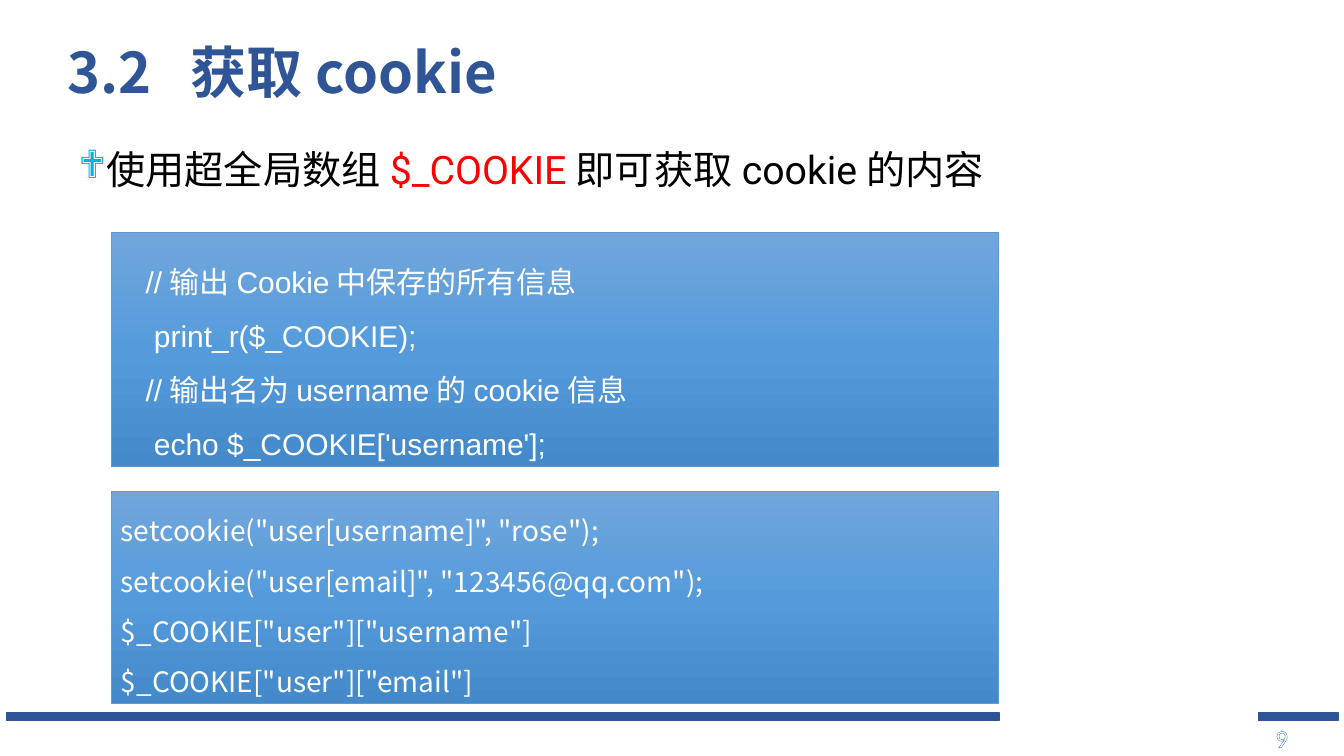
from copy import deepcopy
from dataclasses import dataclass

from pptx import Presentation, util as u
from pptx.dml.color import RGBColor
from pptx.enum import dml, shapes, text
from pptx.oxml import parse_xml
from pptx.oxml.ns import nsdecls, qn

PX = 9144  # EMU, 100 px to the inch
COLORS = {
    "navy": "2F5597", "black": "000000", "red": "FF0000", "white": "FFFFFF",
    "bullet": "00B0F0", "border": "5B9BD5", "number": "8FAADC", "outline": "4472C4",
}
GRADIENT = [(0, "71A6DB"), (0.5, "559BDB"), (1, "448ACA")]
CJK_FONT = "Noto Sans CJK SC"


@dataclass
class Frame:
    left: int
    top: int
    width: int
    height: int

    def emu(self) -> list[int]:
        return [n * PX for n in (self.left, self.top, self.width, self.height)]


@dataclass
class CodeBlock:
    frame: Frame
    font: str
    size: float
    lines: list[str]


CODE_BLOCKS = [
    CodeBlock(Frame(110, 231, 880, 232), "Arial", 21.4, [
        "   //输出Cookie中保存的所有信息",
        "    print_r($_COOKIE);",
        "   //输出名为username的cookie信息",
        "    echo $_COOKIE['username'];",
    ]),
    CodeBlock(Frame(110, 488, 880, 210), CJK_FONT, 20, [
        'setcookie("user[username]", "rose");',
        'setcookie("user[email]", "123456@qq.com");',
        '$_COOKIE["user"]["username"]',
        '$_COOKIE["user"]["email"]',
    ]),
]
FOOTER_BARS = [Frame(7, 707, 984, 8), Frame(1248, 707, 79, 8)]


def rgb(name: str) -> RGBColor:
    return RGBColor.from_string(COLORS[name])


def style(para, font: str, size: float, color: str, spacing: float, bold: bool = False) -> None:
    para.alignment = text.PP_ALIGN.LEFT
    para.line_spacing = spacing
    para.font.name = font
    para.font.size = u.Pt(size)
    para.font.bold = bold
    para.font.color.rgb = rgb(color)
    east_asian = parse_xml(f'<a:ea {nsdecls("a")} typeface="{CJK_FONT}"/>')
    para._p.pPr.find(qn("a:defRPr")).append(east_asian)


def place(shape, frame: Frame) -> None:
    shape.left, shape.top, shape.width, shape.height = frame.emu()


def add_box(page, frame: Frame, border: str, weight: float):
    box = page.shapes.add_shape(shapes.MSO_SHAPE.RECTANGLE, *frame.emu())
    box.shadow.inherit = False
    box.line.color.rgb = rgb(border)
    box.line.width = u.Pt(weight)
    return box


def add_footer_bar(page, frame: Frame) -> None:
    bar = add_box(page, frame, "navy", 1)
    bar.fill.solid()
    bar.fill.fore_color.rgb = rgb("navy")


def add_page_number(page) -> None:
    box = page.shapes.add_textbox(*Frame(1255, 712, 72, 40).emu())
    box.text_frame.word_wrap = True
    span = box.text_frame.paragraphs[0].add_run()
    span.text = "9"
    span.font.name = "Calibri"
    span.font.size = u.Pt(18)
    fill = span.font.fill
    fill.patterned()
    fill.pattern = dml.MSO_PATTERN.DARK_DOWNWARD_DIAGONAL
    fill.fore_color.rgb = rgb("number")
    fill.back_color.rgb = rgb("white")
    span._r.rPr.insert(0, parse_xml(
        f'<a:ln {nsdecls("a")} w="12700"><a:solidFill>'
        f'<a:srgbClr val="{COLORS["outline"]}"/></a:solidFill></a:ln>'))


def fill_title(page) -> None:
    title = page.shapes.title
    place(title, Frame(57, 2, 1150, 145))
    title.text_frame.text = "3.2  获取cookie"
    title.text_frame.vertical_anchor = text.MSO_ANCHOR.MIDDLE
    style(title.text_frame.paragraphs[0], CJK_FONT, 40, "navy", 0.9, bold=True)


def fill_body(page) -> None:
    body = page.placeholders[1]
    place(body, Frame(68, 144, 1227, 451))
    body.text_frame.auto_size = text.MSO_AUTO_SIZE.NONE
    para = body.text_frame.paragraphs[0]
    for words in ("使用超全局数组", "$_COOKIE", "即可获取cookie的内容"):
        para.add_run().text = words
    para.space_before = u.Pt(0)
    properties = para._p.get_or_add_pPr()
    properties.set("marL", str(25 * PX))
    properties.set("indent", str(-25 * PX))
    for xml in (f'<a:buClr {nsdecls("a")}><a:srgbClr val="{COLORS["bullet"]}"/></a:buClr>',
                f'<a:buFont {nsdecls("a")} typeface="Wingdings"/>',
                f'<a:buChar {nsdecls("a")} char="❖"/>'):
        properties.append(parse_xml(xml))
    style(para, "Roboto", 28, "black", 0.9)
    para.runs[1].font.color.rgb = rgb("red")


def add_code_block(page, block: CodeBlock) -> None:
    box = add_box(page, block.frame, "border", 0.5)
    box.fill.gradient()
    box.fill.gradient_angle = 270
    stops = box._element.spPr.find(qn("a:gradFill")).find(qn("a:gsLst"))
    stops.append(deepcopy(stops[0]))
    for stop, (position, color) in zip(box.fill.gradient_stops, GRADIENT):
        stop.position = position
        stop.color.rgb = RGBColor.from_string(color)
    frame = box.text_frame
    frame.word_wrap = True
    frame.vertical_anchor = text.MSO_ANCHOR.BOTTOM
    frame.text = "\n".join(block.lines)
    for para in frame.paragraphs:
        style(para, block.font, block.size, "white", 1.5)


def main() -> None:
    deck = Presentation()
    deck.slide_width, deck.slide_height = 1333 * PX, 750 * PX
    page = deck.slides.add_slide(deck.slide_layouts[1])
    for bar in FOOTER_BARS:
        add_footer_bar(page, bar)
    add_page_number(page)
    fill_body(page)
    fill_title(page)
    for block in CODE_BLOCKS:
        add_code_block(page, block)
    deck.save("out.pptx")


if __name__ == "__main__":
    main()
